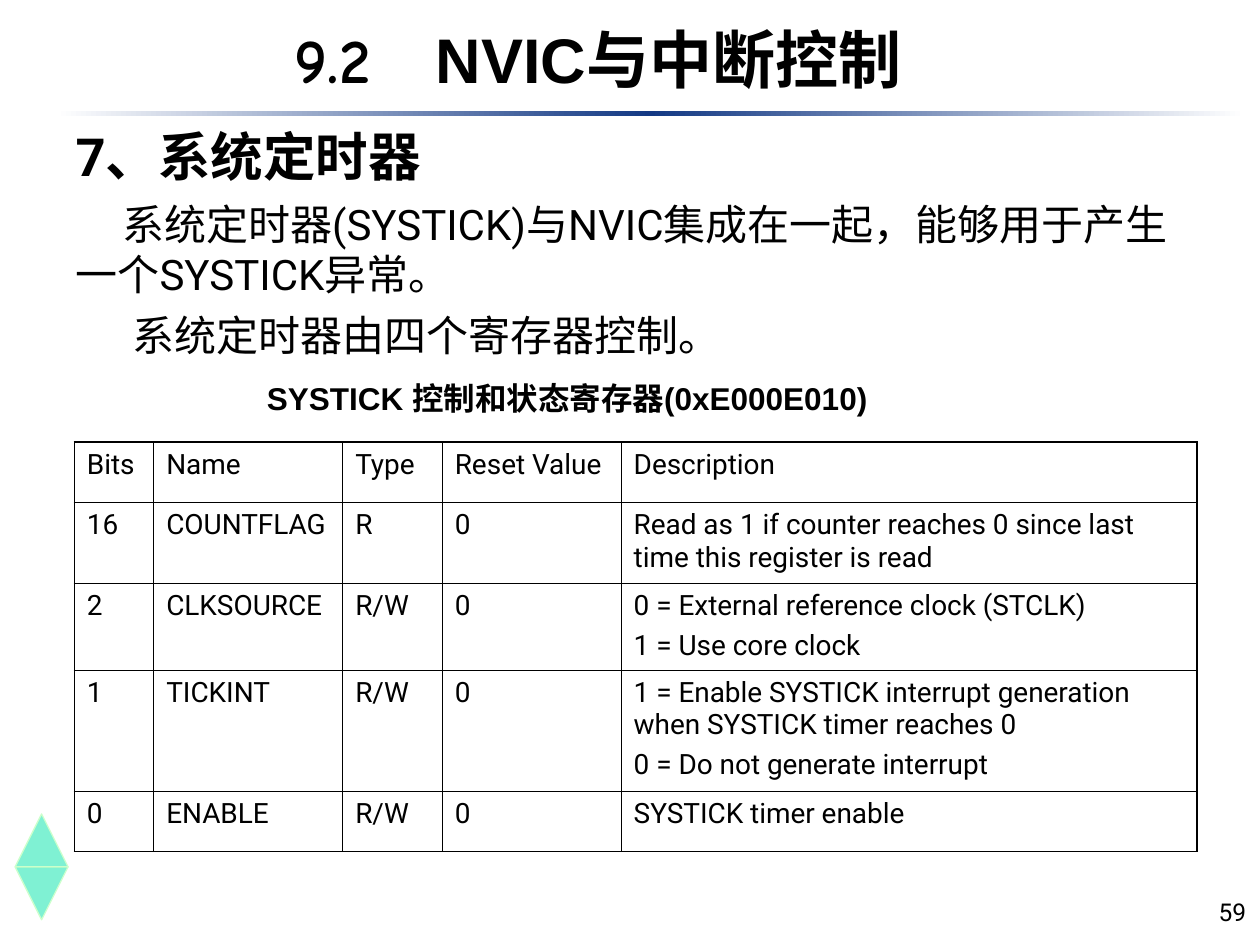
from dataclasses import dataclass

from lxml.etree import SubElement
from pptx import Presentation
from pptx.dml.color import RGBColor
from pptx.enum.shapes import MSO_SHAPE
from pptx.enum.text import MSO_ANCHOR, MSO_AUTO_SIZE, PP_ALIGN
from pptx.oxml.ns import qn
from pptx.util import Inches, Pt


@dataclass(frozen=True)
class Theme:
    ink: str = "000000"
    paper: str = "FFFFFF"
    rule: str = "133984"
    marker: str = "00E4A8"
    marker_edge: str = "CCFFCC"
    body_font: str = "Roboto"
    label_font: str = "Arial"
    number_font: str = "Comic Neue"
    title_size: float = 36
    heading_size: float = 30
    body_size: float = 24
    caption_size: float = 18
    table_size: float = 16
    page_size: float = 14
    outer_border: float = 1.08
    inner_border: float = 0.45


theme = Theme()


def add_run(paragraph, text, size, font, bold=False):
    run = paragraph.add_run()
    run.text = text
    run.font.size = Pt(size)
    run.font.name = font
    run.font.bold = bold
    run.font.color.rgb = RGBColor.from_string(theme.ink)


def add_border(cell, side, width):
    line = SubElement(cell._tc.get_or_add_tcPr(), qn(f"a:{side}"), w=str(Pt(width)))
    fill = SubElement(line, qn("a:solidFill"))
    SubElement(fill, qn("a:srgbClr"), val=theme.ink)


presentation = Presentation()
presentation.slide_width = Inches(10)
presentation.slide_height = Inches(7.5)
slide = presentation.slides.add_slide(presentation.slide_layouts[1])
shapes = slide.shapes

# Rule under the title: two halves fading outwards
for left, colors in ((0.44, (theme.paper, theme.rule)), (5.16, (theme.rule, theme.paper))):
    half = shapes.add_shape(MSO_SHAPE.RECTANGLE, Inches(left), Inches(0.88), Inches(4.72), Inches(0.04))
    half.shadow.inherit = False
    half.line.fill.background()
    half.fill.gradient()
    half.fill.gradient_angle = 0
    for stop, color in zip(half.fill.gradient_stops, colors):
        stop.color.rgb = RGBColor.from_string(color)

# Marker in the corner: one triangle up, one down
for top, rotation in ((6.46, 0), (6.88, 180)):
    triangle = shapes.add_shape(MSO_SHAPE.ISOSCELES_TRIANGLE, Inches(0.12), Inches(top), Inches(0.42), Inches(0.42))
    triangle.rotation = rotation
    triangle.shadow.inherit = False
    triangle.fill.solid()
    triangle.fill.fore_color.rgb = RGBColor.from_string(theme.marker)
    color = triangle._element.spPr.find(qn("a:solidFill")).find(qn("a:srgbClr"))
    SubElement(color, qn("a:alpha"), val="50000")
    triangle.line.color.rgb = RGBColor.from_string(theme.marker_edge)
    triangle.line.width = Pt(0.75)

# Title, with a tab stop between the number and the words
title = shapes.title
title.left, title.top, title.width, title.height = Inches(2.24), Inches(0.16), Inches(5.51), Inches(0.6)
frame = title.text_frame
frame.margin_top = frame.margin_bottom = 0
frame.vertical_anchor = MSO_ANCHOR.MIDDLE
frame.auto_size = MSO_AUTO_SIZE.NONE
paragraph = frame.paragraphs[0]
paragraph.alignment = PP_ALIGN.LEFT
tab_stops = SubElement(paragraph._p.get_or_add_pPr(), qn("a:tabLst"))
SubElement(tab_stops, qn("a:tab"), pos=str(Inches(0.94)), algn="l")
add_run(paragraph, "9.2\t ", theme.title_size, theme.number_font, True)
add_run(paragraph, "NVIC与中断控制", theme.title_size, theme.label_font, True)

# Heading and body text: text, size, bold, spacing, first-line indent
body = slide.placeholders[1]
body.left, body.top, body.width, body.height = Inches(0.5), Inches(0.93), Inches(9), Inches(1.98)
frame = body.text_frame
frame.vertical_anchor = MSO_ANCHOR.MIDDLE
frame.auto_size = MSO_AUTO_SIZE.NONE
body_lines = (
    ("7、系统定时器", theme.heading_size, True, 3.7, 0),
    ("系统定时器(SYSTICK)与NVIC集成在一起，能够用于产生一个SYSTICK异常。", theme.body_size, False, 3, 0.37),
    ("系统定时器由四个寄存器控制。", theme.body_size, False, 3, 0.45),
)
for index, (text, size, bold, spacing, indent) in enumerate(body_lines):
    paragraph = frame.add_paragraph() if index else frame.paragraphs[0]
    paragraph.space_before = paragraph.space_after = Pt(spacing)
    properties = paragraph._p.get_or_add_pPr()
    properties.set("marL", "0")
    properties.set("indent", str(Inches(indent)))
    SubElement(properties, qn("a:buNone"))
    add_run(paragraph, text, size, theme.body_font, bold)

# Table caption, wide enough to stay on one line
caption = shapes.add_textbox(Inches(2.02), Inches(2.96), Inches(5.5), Inches(0.4))
caption.text_frame.word_wrap = True
add_run(caption.text_frame.paragraphs[0], "SYSTICK 控制和状态寄存器(0xE000E010)",
        theme.caption_size, theme.label_font, True)

# Register table; a line break starts a new paragraph in the cell
rows = (
    ("Bits", "Name", "Type", "Reset Value", "Description"),
    ("16", "COUNTFLAG", "R", "0", "Read as 1 if counter reaches 0 since last time this register is read"),
    ("2", "CLKSOURCE", "R/W", "0", "0 = External reference clock (STCLK)\n1 = Use core clock"),
    ("1", "TICKINT", "R/W", "0",
     "1 = Enable SYSTICK interrupt generation when SYSTICK timer reaches 0\n0 = Do not generate interrupt"),
    ("0", "ENABLE", "R/W", "0", "SYSTICK timer enable"),
)
column_widths = (0.63, 1.5, 0.79, 1.42, 4.57)
row_heights = (0.48, 0.64, 0.69, 0.96, 0.48)
last_row, last_column = len(rows) - 1, len(column_widths) - 1
table = shapes.add_table(len(rows), len(column_widths), Inches(0.59), Inches(3.51), Inches(8.9), Inches(3.24)).table
table.first_row = table.horz_banding = False
for column, width in zip(table.columns, column_widths):
    column.width = Inches(width)
for row, height in zip(table.rows, row_heights):
    row.height = Inches(height)

for row_index, row in enumerate(rows):
    for column_index, text in enumerate(row):
        cell = table.cell(row_index, column_index)
        for side, is_outer in (
            ("lnL", column_index == 0),
            ("lnR", column_index == last_column),
            ("lnT", row_index == 0),
            ("lnB", row_index == last_row),
        ):
            add_border(cell, side, theme.outer_border if is_outer else theme.inner_border)
        cell.fill.background()
        for index, line in enumerate(text.split("\n")):
            paragraph = cell.text_frame.add_paragraph() if index else cell.text_frame.paragraphs[0]
            paragraph.space_before = Pt(4)
            add_run(paragraph, line, theme.table_size, theme.body_font)

# Page number
page_number = shapes.add_textbox(Inches(7.91), Inches(6.9), Inches(2.08), Inches(0.5))
frame = page_number.text_frame
frame.word_wrap = True
frame.vertical_anchor = MSO_ANCHOR.BOTTOM
frame.paragraphs[0].alignment = PP_ALIGN.RIGHT
add_run(frame.paragraphs[0], "59", theme.page_size, theme.body_font)

presentation.save("out.pptx")
